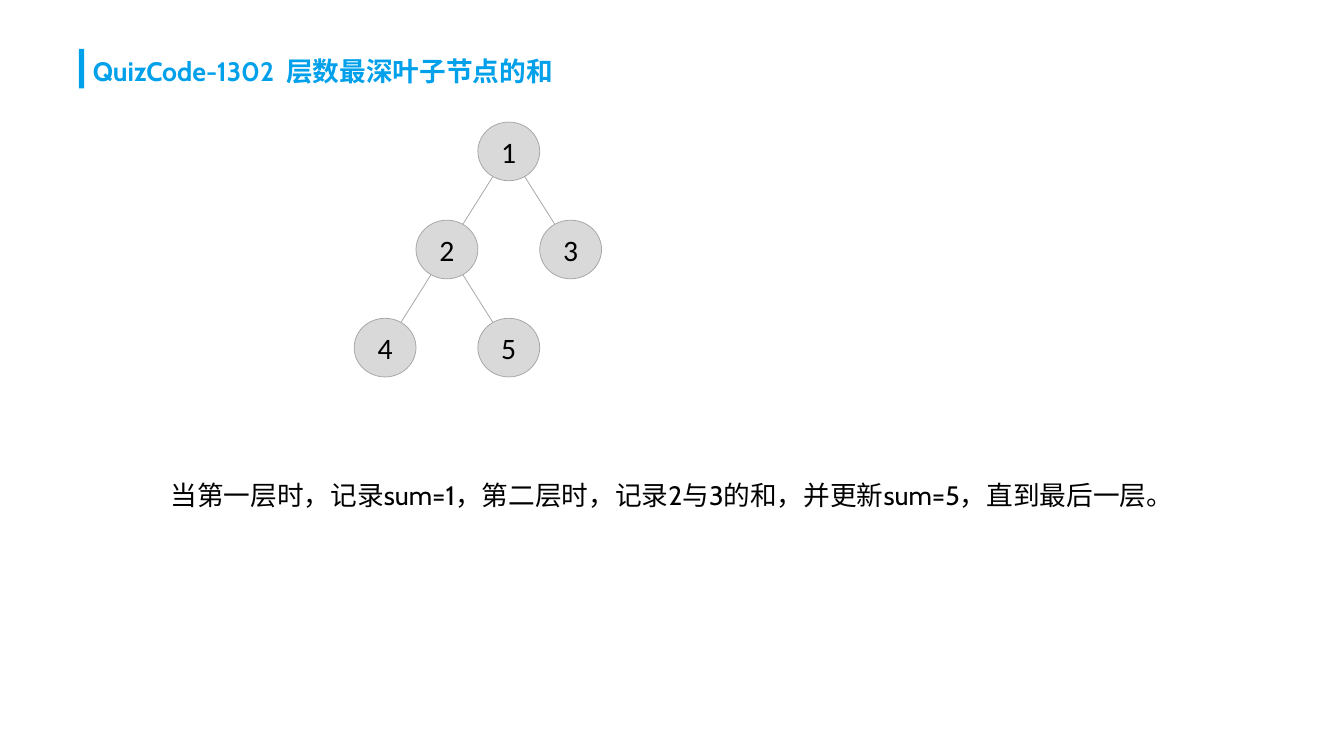
import pptx
import pptx.util
import pptx.dml.color
import pptx.enum.shapes
import pptx.enum.text
import pptx.oxml.ns
from lxml import etree

Inches = pptx.util.Inches
Pt = pptx.util.Pt
RGBColor = pptx.dml.color.RGBColor
SHAPE = pptx.enum.shapes.MSO_SHAPE
ALIGN = pptx.enum.text.PP_ALIGN
ANCHOR = pptx.enum.text.MSO_ANCHOR

BLUE = RGBColor(0x00, 0xA0, 0xEA)
BLACK = RGBColor(0x00, 0x00, 0x00)
GRAY = RGBColor(0xD9, 0xD9, 0xD9)
EDGE = RGBColor(0xA5, 0xA5, 0xA5)

# Tree grid: node size, centre of the root, and steps between nodes
WIDE, HIGH = 0.58, 0.55
ROOT_X, ROOT_Y = 4.77, 1.42
STEP_X, STEP_Y = 0.58, 0.92

# Label: (column, level) relative to the root
NODES = {"1": (0, 0), "2": (-1, 1), "3": (1, 1), "4": (-2, 2), "5": (0, 2)}
LINKS = [("1", "3"), ("2", "5"), ("1", "2"), ("2", "4")]


def put_text(shape, text, size=18, font="Cabin", color=BLACK, bold=False,
             align=ALIGN.LEFT, anchor=ANCHOR.TOP):
    frame = shape.text_frame
    frame.word_wrap = True
    frame.auto_size = pptx.enum.text.MSO_AUTO_SIZE.NONE
    frame.vertical_anchor = anchor
    para = frame.paragraphs[0]
    para.alignment = align
    run = para.add_run()
    run.text = text
    run.font.size = Pt(size)
    run.font.name = font
    run.font.bold = bold
    run.font.color.rgb = color


def add_box(slide, kind, left, top, width, height, fill, line=None):
    shape = slide.shapes.add_shape(
        kind, Inches(left), Inches(top), Inches(width), Inches(height))
    shape.shadow.inherit = False
    shape.fill.solid()
    shape.fill.fore_color.rgb = fill
    if line is None:
        shape.line.fill.background()
    else:
        shape.line.color.rgb = line
        shape.line.width = Pt(0.5)
    return shape


def center(label):
    col, level = NODES[label]
    return ROOT_X + col * STEP_X, ROOT_Y + level * STEP_Y


def add_link(slide, start, end):
    points = [Inches(v) for v in center(start) + center(end)]
    link = slide.shapes.add_connector(
        pptx.enum.shapes.MSO_CONNECTOR.STRAIGHT, *points)
    link.line.color.rgb = EDGE
    link.line.width = Pt(0.5)
    etree.SubElement(link._element.spPr, pptx.oxml.ns.qn("a:effectLst"))


def add_node(slide, label):
    x, y = center(label)
    node = add_box(slide, SHAPE.OVAL, x - WIDE / 2, y - HIGH / 2,
                   WIDE, HIGH, GRAY, EDGE)
    put_text(node, label, size=20, font="Calibri",
             align=ALIGN.CENTER, anchor=ANCHOR.MIDDLE)


def main():
    deck = pptx.Presentation()
    deck.slide_width = Inches(12.6)
    deck.slide_height = Inches(7.09)
    slide = deck.slides.add_slide(deck.slide_layouts[5])

    # Title with its accent bar
    title = slide.shapes.title
    title.left, title.top = Inches(0.77), Inches(0.46)
    title.width, title.height = Inches(6.29), Inches(0.4)
    put_text(title, "QuizCode-1302  层数最深叶子节点的和", color=BLUE, bold=True)
    add_box(slide, SHAPE.RECTANGLE, 0.74, 0.46, 0.05, 0.37, BLUE)

    # Explanation
    note = slide.shapes.add_textbox(
        Inches(1.5), Inches(4.44), Inches(9.76), Inches(0.4))
    put_text(note, "当第一层时，记录sum=1，第二层时，记录2与3的和，"
                   "并更新sum=5，直到最后一层。")

    # Tree: links lie behind the nodes
    for start, end in LINKS:
        add_link(slide, start, end)
    for label in NODES:
        add_node(slide, label)

    deck.save("out.pptx")


if __name__ == "__main__":
    main()
